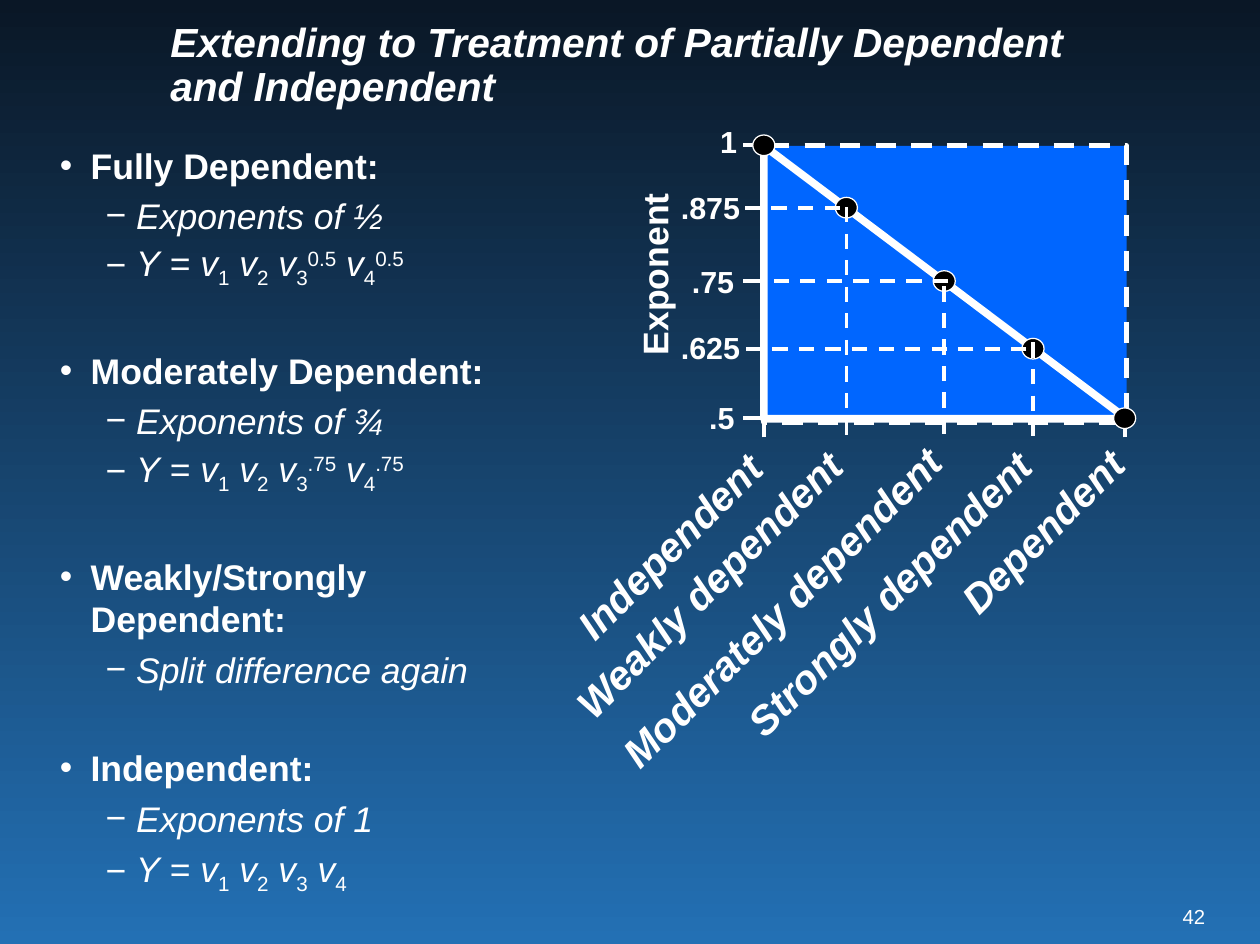
from lxml import etree
from pptx import Presentation
from pptx.dml.color import RGBColor
from pptx.enum.dml import MSO_LINE_DASH_STYLE as Dash
from pptx.enum.shapes import MSO_CONNECTOR as Connector, MSO_SHAPE as Shape
from pptx.enum.text import MSO_ANCHOR as Anchor, MSO_AUTO_SIZE as AutoSize, PP_ALIGN as Align
from pptx.oxml.ns import qn
from pptx.util import Cm, Pt

COLORS = {"top": "0A1726", "bottom": "2370B4", "white": "FFFFFF", "plot": "0066FF", "dot": "000000"}
COLORS = {name: RGBColor.from_string(value) for name, value in COLORS.items()}

deck = Presentation()
deck.slide_width, deck.slide_height = Cm(26.26), Cm(19.68)
page = deck.slides.add_slide(deck.slide_layouts[6])
backdrop = page.background.fill
backdrop.gradient()
backdrop.gradient_angle = 270
for stop, name in zip(backdrop.gradient_stops, ("top", "bottom")):
    stop.color.rgb = COLORS[name]


def add_text(text, left, top, width, height, size, bold=True, italic=False, align=Align.LEFT, rotation=0):
    box = page.shapes.add_textbox(Cm(left), Cm(top), Cm(width), Cm(height))
    box.rotation = rotation
    frame = box.text_frame
    frame.word_wrap = True
    frame.auto_size = AutoSize.SHAPE_TO_FIT_TEXT
    frame.text = text
    para = frame.paragraphs[0]
    para.alignment = align
    font = para.runs[0].font
    font.name, font.size, font.bold, font.italic = "Arial", Pt(size), bold, italic
    font.color.rgb = COLORS["white"]
    return frame


def add_line(x1, y1, x2, y2, dash=None):
    line = page.shapes.add_connector(Connector.STRAIGHT, Cm(x1), Cm(y1), Cm(x2), Cm(y2))
    line.line.color.rgb = COLORS["white"]
    line.line.width = Pt(2.25)
    line.line.dash_style = dash
    etree.SubElement(line._element.spPr, qn("a:effectLst"))


# Page number and title
number = add_text("42", 24.61, 18.85, 0.51, 0.51, 12, bold=False, align=Align.RIGHT)
number.word_wrap = False
number.margin_left = number.margin_right = number.margin_top = number.margin_bottom = 0
title = add_text("Extending to Treatment of Partially Dependent and Independent",
                 3.3, 0, 19.2, 2.74, 24, italic=True)
title.auto_size = AutoSize.NONE
title.vertical_anchor = Anchor.MIDDLE
title.paragraphs[0].line_spacing = Pt(26)

# Outline: space before the heading, heading, detail, exponent of the last two factors
OUTLINE = [
    (0, "Fully Dependent:", "Exponents of ½", "0.5"),
    (35, "Moderately Dependent:", "Exponents of ¾", ".75"),
    (35, "Weakly/Strongly Dependent:", "Split difference again", None),
    (33.2, "Independent:", "Exponents of 1", ""),
]
BASELINES = {"sub": "-25000", "sup": "30000"}
rows = []
for gap, heading, detail, exponent in OUTLINE:
    rows.append((0, gap, [(heading, "bold")]))
    rows.append((1, 4.5, [(detail, "italic")]))
    if exponent is not None:
        spans = [("Y", "italic"), (" = ", "plain"), ("v", "italic"), ("1", "sub"),
                 (" v", "italic"), ("2", "sub"), (" v", "italic"), ("3", "sub"),
                 (exponent, "sup"), (" v", "italic"), ("4", "sub"), (exponent, "sup")]
        rows.append((1, 2.9 if exponent else 4.5, [span for span in spans if span[0]]))

outline = page.shapes.add_textbox(Cm(1), Cm(2.87), Cm(10.34), Cm(16.15)).text_frame
outline.word_wrap = True
for index, (level, gap, spans) in enumerate(rows):
    para = outline.paragraphs[0] if index == 0 else outline.add_paragraph()
    para.level = level
    props = para._p.get_or_add_pPr()
    props.set("marL", str(Cm((0.64, 1.59)[level])))
    props.set("indent", str(Cm(-0.64)))
    etree.SubElement(props, qn("a:buFont"), typeface="Arial")
    etree.SubElement(props, qn("a:buChar"), char="•−"[level])
    if gap:
        para.space_before = Pt(gap)
    for text, style in spans:
        span = para.add_run()
        span.text = text
        font = span.font
        font.name, font.size = "Arial", Pt(21)
        font.bold, font.italic = style == "bold", style == "italic"
        font.color.rgb = COLORS["white"]
        if style in BASELINES:
            span._r.get_or_add_rPr().set("baseline", BASELINES[style])

# Plot area and falling line
AXIS_X, AXIS_Y, TICK = 15.92, 8.76, 0.43
for kind, height, width in ((Shape.RECTANGLE, 5.76, 3), (Shape.RIGHT_TRIANGLE, 5.69, 4.5)):
    area = page.shapes.add_shape(kind, Cm(AXIS_X), Cm(3.04), Cm(7.56), Cm(height))
    area.shadow.inherit = False
    area.line.color.rgb = COLORS["white"]
    area.line.width = Pt(width)
    if kind == Shape.RECTANGLE:
        area.fill.solid()
        area.fill.fore_color.rgb = COLORS["plot"]
        area.line.dash_style = Dash.DASH
    else:
        area.fill.background()

# Dot centre, start of the dashed guides or None,
# exponent label (text, left, top, width), category label (text, left, top, width)
POINTS = [
    (15.92, 3.03, None, ("1", 14.76, 2.44, 0.94), ("Independent", 8.74, 11.76, 8.36)),
    (17.64, 4.33, (17.5, 4.32), (".875", 13.94, 3.81, 1.93), ("Weakly dependent", 10.41, 11.71, 8.36)),
    (19.68, 5.86, (19.76, 5.97), (".75", 14.17, 5.36, 1.63), ("Moderately dependent", 11.51, 12.04, 9.5)),
    (21.53, 7.27, (21.39, 7.14), (".625", 13.94, 6.73, 1.93), ("Strongly dependent", 14.1, 11.81, 8.66)),
    (23.44, 8.72, None, (".5", 14.53, 8.2, 1.3), ("Dependent", 16.28, 11.68, 8.36)),
]
DOT_WIDTH, DOT_HEIGHT = 0.46, 0.43
add_text("Exponent", 11.4, 4.85, 4.47, 1.14, 21, rotation=270)
for x, y, guide, exponent, category in POINTS:
    if guide is None:
        add_line(x, AXIS_Y + 0.36, x, AXIS_Y)
    if guide is None or exponent[0] == ".75":
        add_line(AXIS_X - TICK, y, AXIS_X, y)
    dot = page.shapes.add_shape(Shape.OVAL, Cm(x - DOT_WIDTH / 2), Cm(y - DOT_HEIGHT / 2),
                                Cm(DOT_WIDTH), Cm(DOT_HEIGHT))
    dot.shadow.inherit = False
    dot.fill.solid()
    dot.fill.fore_color.rgb = COLORS["dot"]
    dot.line.color.rgb = COLORS["white"]
    dot.line.width = Pt(0.75)
    if guide:
        guide_x, guide_y = guide
        guide_end = AXIS_X if exponent[0] == ".75" else AXIS_X - TICK
        add_line(x, guide_y, x, AXIS_Y + 0.32, Dash.DASH)
        add_line(guide_x, y, guide_end, y, Dash.DASH)
    add_text(*exponent, 1.02, 18)
    add_text(*category, 1.2, 24, italic=True, align=Align.RIGHT, rotation=315)

deck.save("out.pptx")
